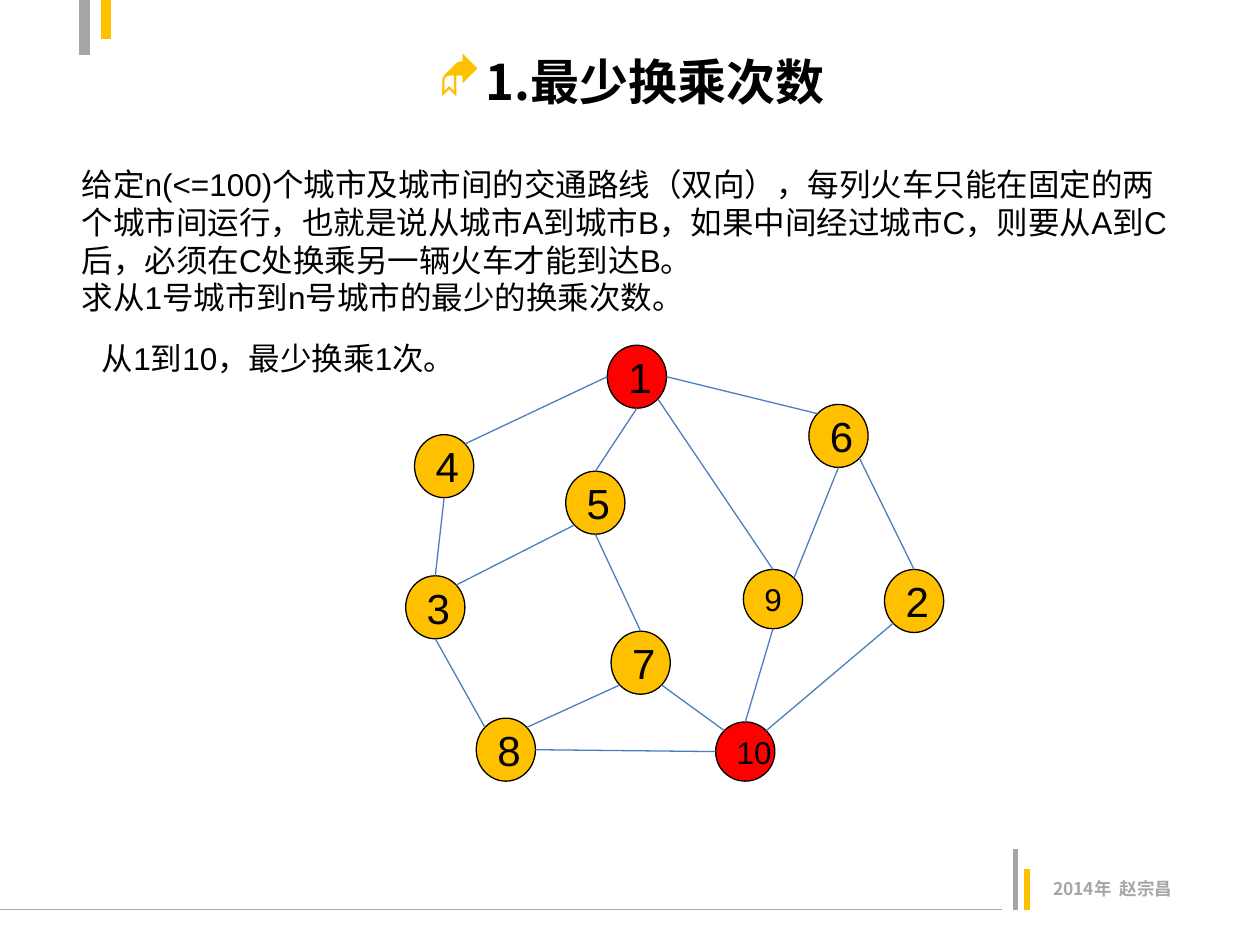
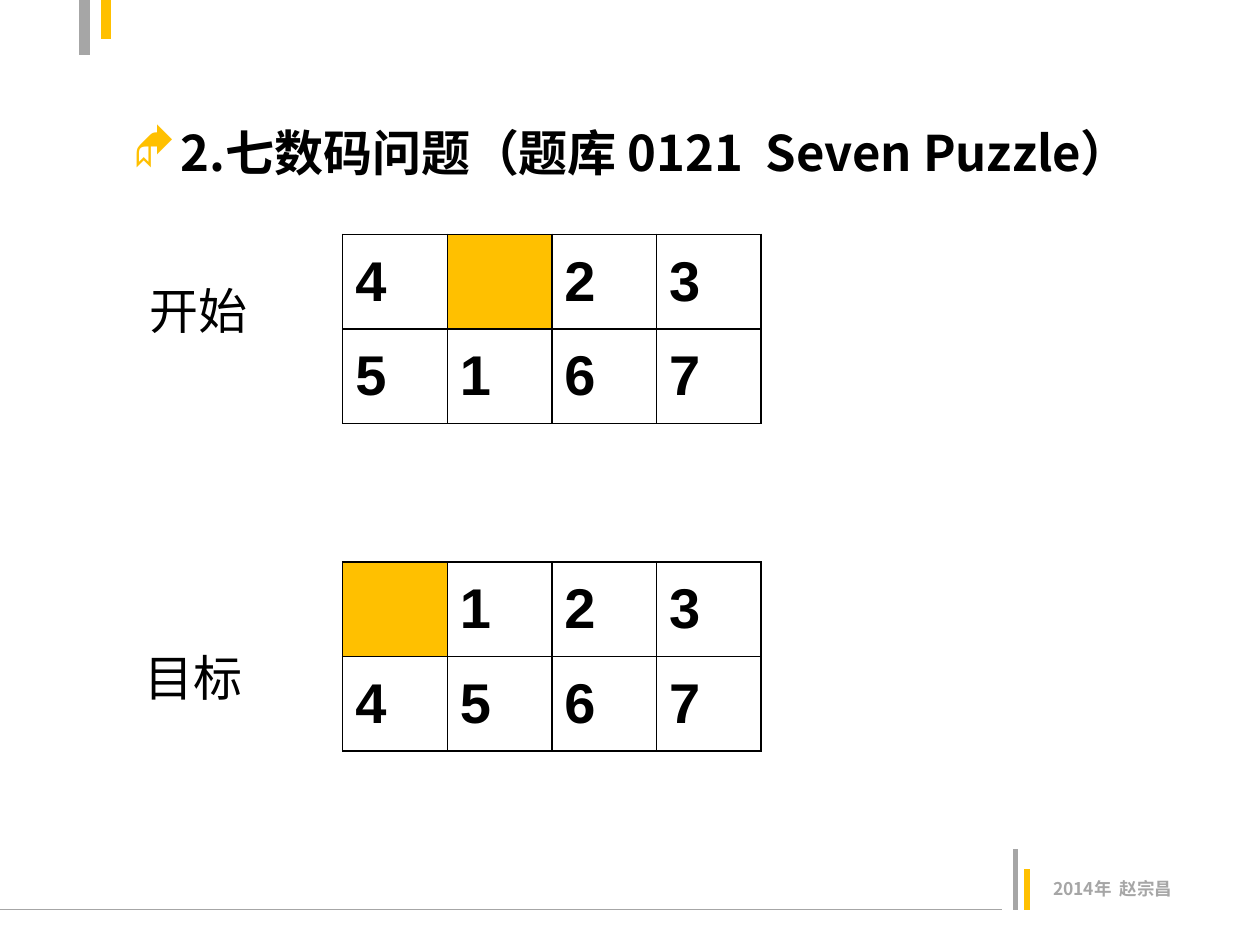
from dataclasses import dataclass
from math import cos, radians, sin

from lxml import etree
from pptx import Presentation
from pptx.dml.color import RGBColor
from pptx.enum.shapes import MSO_CONNECTOR as Connector, MSO_SHAPE as Preset
from pptx.enum.text import MSO_ANCHOR as Anchor, MSO_AUTO_SIZE as AutoSize, PP_ALIGN as Align
from pptx.oxml.ns import qn
from pptx.slide import Slide
from pptx.util import Inches, Pt

BLACK, GRAY, AMBER = "000000", "A6A6A6", "FFC000"
RED, EDGE_BLUE = "FF0000", "4B7EBC"
BODY_FONT, TITLE_FONT, BULLET_FONT = "Arial", "Noto Sans CJK SC", "Wingdings"


@dataclass(frozen=True)
class TextStyle:
    size: float
    font: str = BODY_FONT
    color: str = BLACK
    bold: bool = False


@dataclass(frozen=True)
class Rule:
    start: tuple[float, float]
    end: tuple[float, float]
    color: str
    width: float


@dataclass(frozen=True)
class City:
    left: float
    top: float
    height: float = 0.5
    fill: str = AMBER
    size: float = 24
    width: float = 0.47

    def site(self, direction: str) -> tuple[float, float]:
        """Point on the outline in a compass direction."""
        angle = radians(COMPASS.index(direction) * 45)
        return (self.left + self.width / 2 * (1 + cos(angle)),
                self.top + self.height / 2 * (1 + sin(angle)))


@dataclass(frozen=True)
class Puzzle:
    label: str
    label_left: float
    label_top: float
    table_top: float
    rows: tuple[str, ...]


TITLE_STYLE = TextStyle(28, TITLE_FONT, bold=True)
FOOTER_STYLE = TextStyle(10, TITLE_FONT, GRAY, True)
BODY_STYLE = TextStyle(18)
LABEL_STYLE = TextStyle(28)
TILE_STYLE = TextStyle(32, bold=True)

FRAME_RULES = (
    Rule((0, 7.22), (7.95, 7.22), GRAY, 0.75),
    Rule((8.06, 7.22), (8.06, 6.74), GRAY, 3),
    Rule((8.15, 7.22), (8.15, 6.9), AMBER, 3),
    Rule((0.67, 0), (0.67, 0.44), GRAY, 6),
    Rule((0.84, 0), (0.84, 0.31), AMBER, 6),
)

COMPASS = ("E", "SE", "S", "SW", "W", "NW", "N", "NE")
CITIES = {
    1: City(4.82, 2.74, fill=RED),
    2: City(7.02, 4.52),
    3: City(3.22, 4.57),
    4: City(3.29, 3.45),
    5: City(4.49, 3.74),
    6: City(6.42, 3.21),
    7: City(4.85, 5.01),
    8: City(3.78, 5.7),
    9: City(5.9, 4.52, height=0.47, size=18),
    10: City(5.68, 5.73, height=0.47, fill=RED, size=18),
}
ROUTES = (
    (1, "W", 4, "NE"), (1, "S", 5, "N"), (1, "SE", 9, "N"), (1, "E", 6, "NW"),
    (4, "S", 3, "N"), (5, "SW", 3, "NE"), (5, "S", 7, "N"), (7, "SE", 10, "NW"),
    (3, "S", 8, "NW"), (8, "E", 10, "W"), (6, "S", 9, "NE"), (9, "S", 10, "N"),
    (6, "SE", 2, "N"), (2, "SW", 10, "NE"), (7, "SW", 8, "NE"),
)
PROBLEM = (
    "给定n(<=100)个城市及城市间的交通路线（双向），每列火车只能在固定的两个城市间运行，"
    "也就是说从城市A到城市B，如果中间经过城市C，则要从A到C后，必须在C处换乘另一辆火车才能到达B。\n"
    "求从1号城市到n号城市的最少的换乘次数。"
)

EMPTY_TILE = "0"
TABLE_LEFT, TILE_WIDTH, TILE_HEIGHT = 2.72, 0.83, 0.75
PUZZLES = (
    Puzzle("开始", 1.09, 2.18, 1.86, ("4023", "5167")),
    Puzzle("目标", 1.05, 5.09, 4.46, ("0123", "4567")),
)


def rgb(color: str) -> RGBColor:
    return RGBColor.from_string(color)


def style_text(frame, style: TextStyle) -> None:
    for para in frame.paragraphs:
        for span in para.runs:
            font = span.font
            font.name, font.size, font.bold = style.font, Pt(style.size), style.bold
            font.color.rgb = rgb(style.color)
            east_asian = etree.Element(qn("a:ea"), typeface=style.font)
            font._element.find(qn("a:latin")).addnext(east_asian)


def add_text(slide: Slide, text: str, area: tuple[float, float, float, float],
             style: TextStyle, wrap: bool = True):
    box = slide.shapes.add_textbox(*map(Inches, area))
    frame = box.text_frame
    frame.text = text
    frame.word_wrap = wrap
    frame.auto_size = AutoSize.NONE
    style_text(frame, style)
    return frame


def add_rule(slide: Slide, rule: Rule) -> None:
    line = slide.shapes.add_connector(
        Connector.STRAIGHT, *map(Inches, (*rule.start, *rule.end)))
    line.line.color.rgb = rgb(rule.color)
    line.line.width = Pt(rule.width)
    etree.SubElement(line._element.spPr, qn("a:effectLst"))


def add_title(slide: Slide, text: str, top: float) -> None:
    para = add_text(slide, text, (0.51, top, 9, 0.71), TITLE_STYLE).paragraphs[0]
    para.alignment = Align.CENTER
    properties = para._p.get_or_add_pPr()
    indent = Inches(0.38)
    properties.set("marL", str(indent))
    properties.set("indent", str(-indent))
    bullet_color = etree.SubElement(properties, qn("a:buClr"))
    etree.SubElement(bullet_color, qn("a:srgbClr"), val=AMBER)
    etree.SubElement(properties, qn("a:buFont"), typeface=BULLET_FONT)
    etree.SubElement(properties, qn("a:buChar"), char="◆")


def add_framed_slide(deck, title: str, title_top: float) -> Slide:
    """Add a blank slide with the shared rules, footer and title."""
    slide = deck.slides.add_slide(deck.slide_layouts[6])
    for rule in FRAME_RULES:
        add_rule(slide, rule)
    add_text(slide, "2014年  赵宗昌", (8.26, 6.92, 1.19, 0.27), FOOTER_STYLE, wrap=False)
    add_title(slide, title, title_top)
    return slide


def add_city(slide: Slide, number: int, city: City) -> None:
    node = slide.shapes.add_shape(
        Preset.OVAL, *map(Inches, (city.left, city.top, city.width, city.height)))
    node.shadow.inherit = False
    node.fill.solid()
    node.fill.fore_color.rgb = rgb(city.fill)
    node.line.color.rgb = rgb(BLACK)
    node.line.width = Pt(0.75)
    frame = node.text_frame
    frame.text = str(number)
    frame.word_wrap = False
    frame.vertical_anchor = Anchor.MIDDLE
    frame.paragraphs[0].alignment = Align.LEFT
    style_text(frame, TextStyle(city.size))


def set_borders(cell) -> None:
    properties = cell._tc.get_or_add_tcPr()
    for position, side in enumerate(("a:lnL", "a:lnR", "a:lnT", "a:lnB")):
        border = etree.Element(qn(side), w=str(Pt(1)))
        fill = etree.SubElement(border, qn("a:solidFill"))
        etree.SubElement(fill, qn("a:srgbClr"), val=BLACK)
        properties.insert(position, border)


def add_puzzle(slide: Slide, puzzle: Puzzle) -> None:
    row_count, column_count = len(puzzle.rows), len(puzzle.rows[0])
    table = slide.shapes.add_table(
        row_count, column_count, Inches(TABLE_LEFT), Inches(puzzle.table_top),
        Inches(TILE_WIDTH * column_count), Inches(TILE_HEIGHT * row_count)).table
    table.first_row = table.horz_banding = False
    for row, tiles in enumerate(puzzle.rows):
        for column, tile in enumerate(tiles):
            cell = table.cell(row, column)
            cell.vertical_anchor = Anchor.MIDDLE
            if tile == EMPTY_TILE:
                cell.fill.solid()
                cell.fill.fore_color.rgb = rgb(AMBER)
            else:
                cell.fill.background()
                cell.text_frame.text = tile
                style_text(cell.text_frame, TILE_STYLE)
            set_borders(cell)
    add_text(slide, puzzle.label, (puzzle.label_left, puzzle.label_top, 1.42, 0.57), LABEL_STYLE)


def build_transfer_slide(deck) -> None:
    slide = add_framed_slide(deck, "1.最少换乘次数", 0.36)
    for number, city in CITIES.items():
        add_city(slide, number, city)
    for start, start_site, end, end_site in ROUTES:
        add_rule(slide, Rule(CITIES[start].site(start_site), CITIES[end].site(end_site),
                             EDGE_BLUE, 0.75))
    add_text(slide, PROBLEM, (0.55, 1.26, 8.9, 1.31), BODY_STYLE)
    add_text(slide, "从1到10，最少换乘1次。", (0.71, 2.64, 2.77, 0.7), BODY_STYLE)


def build_puzzle_slide(deck) -> None:
    slide = add_framed_slide(deck, "2.七数码问题（题库 0121  Seven Puzzle）", 0.92)
    for puzzle in PUZZLES:
        add_puzzle(slide, puzzle)


def main() -> None:
    deck = Presentation()
    deck.slide_width, deck.slide_height = Inches(10), Inches(7.5)
    build_transfer_slide(deck)
    build_puzzle_slide(deck)
    deck.save("out.pptx")


if __name__ == "__main__":
    main()
